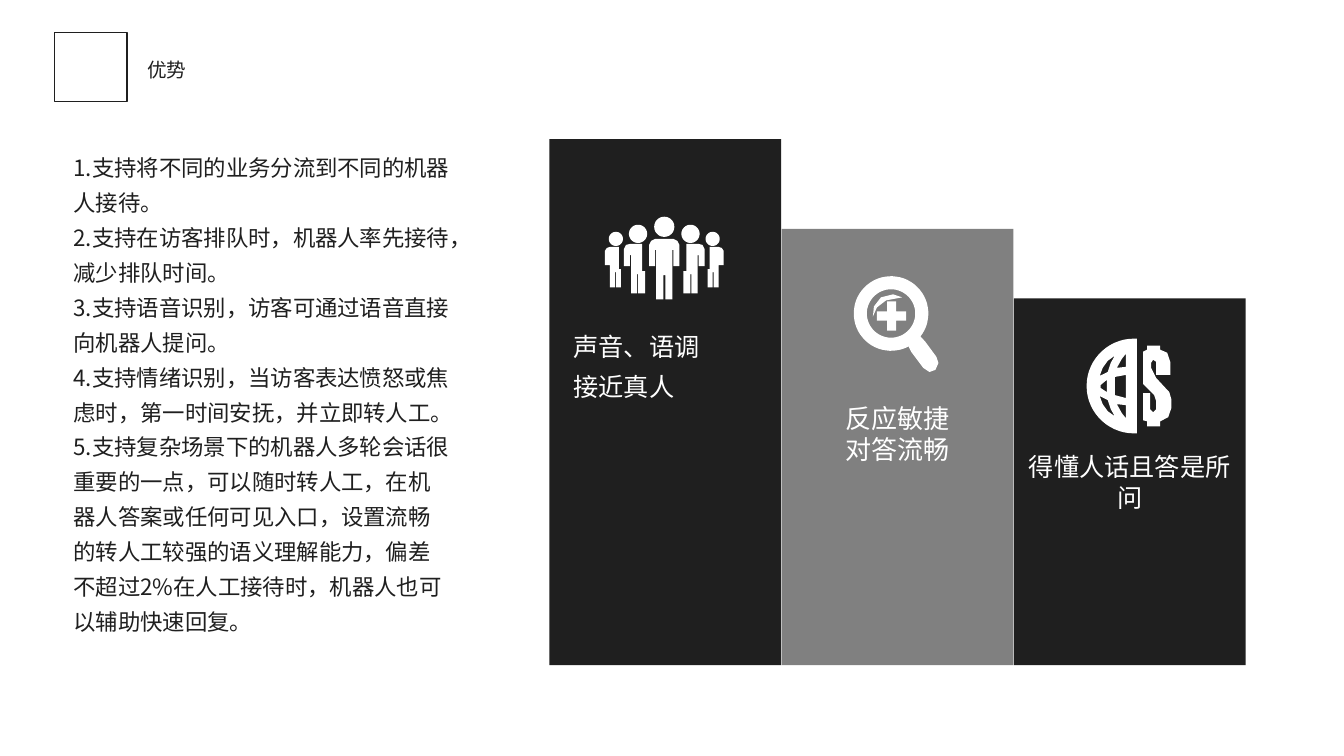
from math import cos, radians, sin

from lxml.etree import SubElement
from pptx import Presentation
from pptx.dml.color import RGBColor
from pptx.enum.shapes import MSO_SHAPE
from pptx.enum.text import MSO_ANCHOR, MSO_AUTO_SIZE, PP_ALIGN
from pptx.oxml.ns import qn
from pptx.util import Inches, Pt

DARK = RGBColor(0x1F, 0x1F, 0x1F)
GRAY = RGBColor(0x80, 0x80, 0x80)
WHITE = RGBColor(0xFF, 0xFF, 0xFF)
FONT = "Noto Sans CJK SC"
SLIDE_WIDTH, SLIDE_HEIGHT = Inches(13.333), Inches(7.5)

# Bars: shares of the slide in percent
BAR_LEFT, BAR_STEP, BAR_WIDTH, BAR_BOTTOM = 40.88, 17.28, 17.25, 88
BARS = [(18.4, DARK), (30.27, GRAY), (39.47, DARK)]

ADVANTAGES = [
    "1.支持将不同的业务分流到不同的机器人接待。",
    "2.支持在访客排队时，机器人率先接待，减少排队时间。",
    "3.支持语音识别，访客可通过语音直接向机器人提问。",
    "4.支持情绪识别，当访客表达愤怒或焦虑时，第一时间安抚，并立即转人工。",
    "5.支持复杂场景下的机器人多轮会话很重要的一点，可以随时转人工，在机器人答案"
    "或任何可见入口，设置流畅的转人工较强的语义理解能力，偏差不超过2%在人工接待时，"
    "机器人也可以辅助快速回复。",
]

# Icon outlines in inches on the slide
PEOPLE_AXIS, GLOBE_AXIS = 6.59, 3.83
LEADER_HALF = [
    (6.59, 2.37), (6.5, 2.37), (6.46, 2.39), (6.44, 2.43), (6.44, 2.64), (6.5, 2.64),
    (6.5, 2.48), (6.51, 2.48), (6.51, 2.97), (6.58, 2.97), (6.58, 2.73), (6.59, 2.73)]
SECOND_BODY = [
    (6.37, 2.42), (6.25, 2.42), (6.21, 2.43), (6.19, 2.47), (6.19, 2.64), (6.25, 2.64),
    (6.25, 2.53), (6.26, 2.53), (6.26, 2.91), (6.32, 2.91), (6.32, 2.72), (6.33, 2.72),
    (6.33, 2.91), (6.4, 2.91), (6.4, 2.69), (6.37, 2.69)]
OUTER_BODY = [
    (6.14, 2.45), (6.05, 2.45), (6.02, 2.46), (6, 2.49), (6, 2.63), (6.05, 2.63),
    (6.05, 2.85), (6.1, 2.85), (6.1, 2.7), (6.11, 2.7), (6.11, 2.85), (6.16, 2.85),
    (6.16, 2.67), (6.14, 2.67)]
HANDLE = [
    (9.18, 3.39), (9.29, 3.54), (9.31, 3.6), (9.28, 3.67), (9.22, 3.69),
    (9.16, 3.65), (9.04, 3.49)]
PLUS = [
    (8.8, 3.28), (8.89, 3.28), (8.89, 3.18), (8.99, 3.18), (8.99, 3.09), (8.89, 3.09),
    (8.89, 2.99), (8.8, 2.99), (8.8, 3.09), (8.7, 3.09), (8.7, 3.18), (8.8, 3.18)]
GLINT = [
    (8.66, 3.14), (8.7, 3.05), (8.79, 2.98), (8.95, 2.95), (8.86, 2.92),
    (8.74, 2.95), (8.67, 3.04)]
GLOBE_UPPER_WINDOWS = [
    [(10.91, 3.73), (10.99, 3.69), (11.02, 3.6), (11.06, 3.53), (10.99, 3.58), (10.94, 3.65)],
    [(11.08, 3.65), (11.17, 3.64), (11.17, 3.51), (11.13, 3.56)]]
GLOBE_MIDDLE_WINDOWS = [
    [(11.17, 3.72), (11.06, 3.74), (11.06, 3.92), (11.17, 3.95)],
    [(10.98, 3.77), (10.92, 3.82), (10.92, 3.85), (10.98, 3.89)]]
DOLLAR = [
    (11.51, 4.18), (11.51, 4.23), (11.38, 4.23), (11.38, 4.18), (11.34, 4.17),
    (11.34, 3.9), (11.41, 3.9), (11.41, 4.06), (11.44, 4.09), (11.47, 4.06),
    (11.47, 3.98), (11.45, 3.92), (11.34, 3.81), (11.34, 3.49), (11.38, 3.47),
    (11.38, 3.43), (11.51, 3.43), (11.51, 3.47), (11.58, 3.5), (11.61, 3.59),
    (11.61, 3.72), (11.47, 3.72), (11.47, 3.59), (11.44, 3.57), (11.42, 3.6),
    (11.42, 3.65), (11.47, 3.75), (11.6, 3.89), (11.62, 3.96), (11.62, 4.05),
    (11.59, 4.14)]


def box(left, top, width, height):
    """Turn percentages of the slide into lengths."""
    return (int(SLIDE_WIDTH * left / 100), int(SLIDE_HEIGHT * top / 100),
            int(SLIDE_WIDTH * width / 100), int(SLIDE_HEIGHT * height / 100))


def place(shape, *shares):
    shape.left, shape.top, shape.width, shape.height = box(*shares)


def write(shape, *lines, size, color, align=PP_ALIGN.LEFT, anchor=MSO_ANCHOR.TOP,
          spacing=1.0, wrap=True):
    frame = shape.text_frame
    frame.text = "\n".join(lines)
    frame.word_wrap = wrap
    frame.auto_size = MSO_AUTO_SIZE.NONE
    frame.vertical_anchor = anchor
    frame.margin_left = frame.margin_right = Inches(0.13)
    frame.margin_top = frame.margin_bottom = Inches(0.07)
    for paragraph in frame.paragraphs:
        paragraph.alignment = align
        paragraph.line_spacing = spacing
        paragraph.space_before = Pt(0)
        for run in paragraph.runs:
            run.font.size = Pt(size)
            run.font.color.rgb = color
            run.font.name = FONT
            SubElement(run.font._element, qn("a:ea"), typeface=FONT)


def remove_bullets(shape):
    for paragraph in shape.text_frame.paragraphs:
        properties = paragraph._p.get_or_add_pPr()
        properties.set("marL", "0")
        properties.set("indent", "0")
        SubElement(properties, qn("a:buNone"))


def add_rectangle(slide, *shares, fill=None, line=None):
    shape = slide.shapes.add_shape(MSO_SHAPE.RECTANGLE, *box(*shares))
    shape.shadow.inherit = False
    if fill is None:
        shape.fill.background()
    else:
        shape.fill.solid()
        shape.fill.fore_color.rgb = fill
    if line is None:
        shape.line.fill.background()
    else:
        shape.line.color.rgb = line
        shape.line.width = Pt(0.75)
    return shape


def add_label(slide, *lines, shares, **style):
    write(slide.shapes.add_textbox(*box(*shares)), *lines, size=style.pop("size", 18),
          color=WHITE, **style)


def arc(x, y, radius, start=0, end=360):
    return [(x + radius * cos(radians(angle)), y + radius * sin(radians(angle)))
            for angle in range(start, end + 1, 6)]


def mirror_x(points):
    return [(2 * PEOPLE_AXIS - x, y) for x, y in points]


def mirror_y(points):
    return [(x, 2 * GLOBE_AXIS - y) for x, y in points]


def add_icon(slide, outlines):
    contours = [[(round(x * 1000), round(y * 1000)) for x, y in outline]
                for outline in outlines]
    builder = slide.shapes.build_freeform(*contours[0][0], scale=Inches(1) / 1000)
    builder.add_line_segments(contours[0][1:])
    for contour in contours[1:]:
        builder.move_to(*contour[0])
        builder.add_line_segments(contour[1:])
    icon = builder.convert_to_shape()
    icon.shadow.inherit = False
    icon.fill.solid()
    icon.fill.fore_color.rgb = WHITE
    icon.line.fill.background()


def add_icons(slide):
    # Group of people
    left_side = [SECOND_BODY, OUTER_BODY, arc(6.33, 2.32, 0.09), arc(6.11, 2.37, 0.07)]
    add_icon(slide, [LEADER_HALF + mirror_x(LEADER_HALF)[::-1], arc(PEOPLE_AXIS, 2.25, 0.1),
                     *left_side, *map(mirror_x, left_side)])
    # Magnifier
    add_icon(slide, [arc(8.84, 3.11, 0.37, 62, 402) + HANDLE, arc(8.84, 3.11, 0.24),
                     PLUS, GLINT])
    # Half globe with dollar
    globe = [(11.28, 4.3)] + arc(11.25, GLOBE_AXIS, 0.47, 90, 270) + [(11.28, 3.36)]
    add_icon(slide, [globe, *GLOBE_UPPER_WINDOWS, *map(mirror_y, GLOBE_UPPER_WINDOWS),
                     *GLOBE_MIDDLE_WINDOWS, DOLLAR])


def main():
    presentation = Presentation()
    presentation.slide_width, presentation.slide_height = SLIDE_WIDTH, SLIDE_HEIGHT
    slide = presentation.slides.add_slide(presentation.slide_layouts[1])

    # Title and list
    title, body = slide.placeholders
    place(title, 9.98, 6.53, 23.63, 5.07)
    write(title, "优势", size=14, color=DARK, anchor=MSO_ANCHOR.MIDDLE, spacing=1.1)
    add_rectangle(slide, 4.05, 4.27, 5.4, 9.2, line=DARK)
    place(body, 4.5, 18.4, 30, 71.33)
    write(body, *ADVANTAGES, size=16, color=DARK, spacing=1.3)
    remove_bullets(body)

    # Descending bars
    bars = [add_rectangle(slide, BAR_LEFT + column * BAR_STEP, top, BAR_WIDTH,
                          BAR_BOTTOM - top, fill=color)
            for column, (top, color) in enumerate(BARS)]
    add_icons(slide)

    # Bar labels
    add_label(slide, "声音、语调\v接近真人", shares=(41.7, 41.73, 15.15, 11.73), spacing=1.3)
    add_label(slide, "反应敏捷", "对答流畅", shares=(61.88, 52.27, 9.83, 10.13),
              size=18.6, align=PP_ALIGN.CENTER, wrap=False)
    write(bars[2], "得懂人话且答是所问", size=18, color=WHITE,
          align=PP_ALIGN.CENTER, anchor=MSO_ANCHOR.MIDDLE)
    presentation.save("out.pptx")


main()
